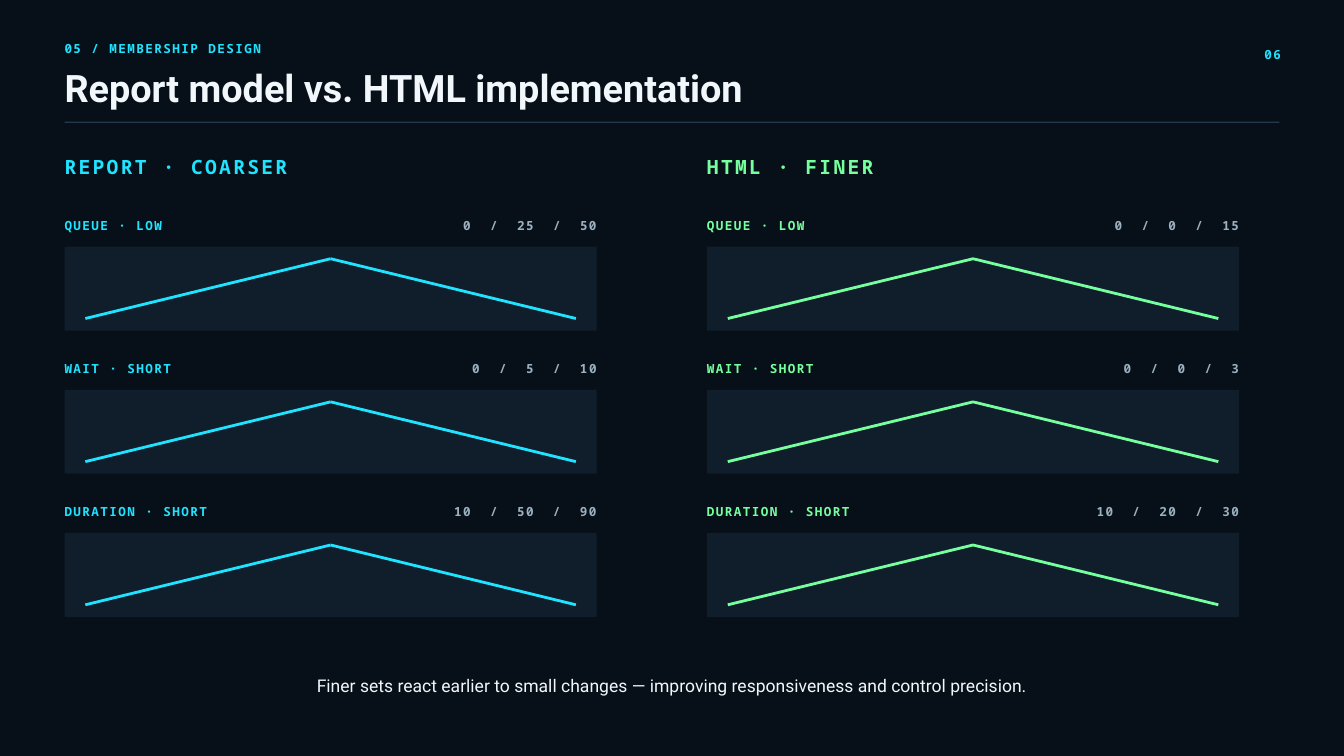
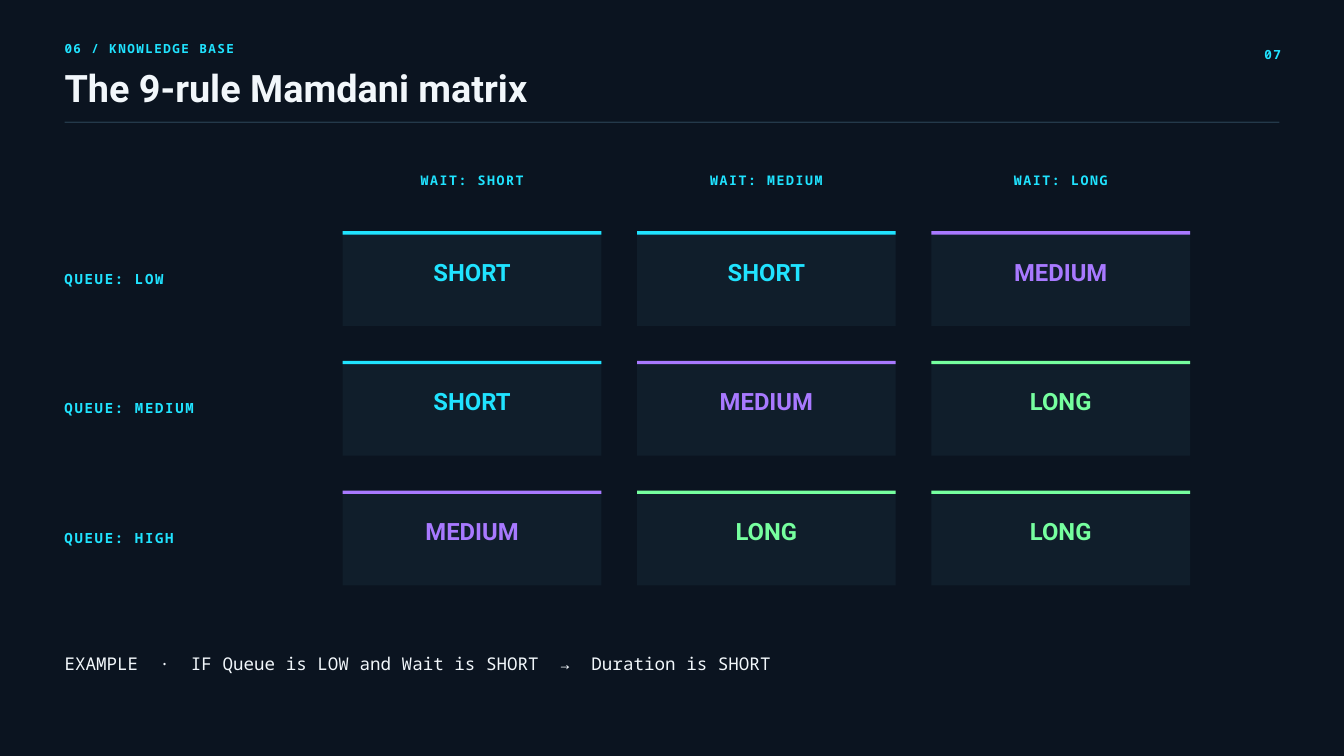
"""Build two slides on fuzzy membership design and the rule matrix."""
from lxml.etree import SubElement
from pptx import Presentation
from pptx.dml.color import RGBColor
from pptx.enum.shapes import MSO_CONNECTOR, MSO_SHAPE
from pptx.enum.text import MSO_AUTO_SIZE, PP_ALIGN
from pptx.oxml.ns import qn
from pptx.util import Inches, Pt

COLORS = {
    "deep": "071018", "navy": "0B1420", "panel": "101E2B", "rule": "24394A",
    "cyan": "20E3FF", "green": "76FF9F", "violet": "A879FF",
    "white": "F2F7FB", "muted": "9BB0C0",
}
MONO, SANS = "Noto Sans Mono", "Roboto"
LEFT = 0.96

MODELS = [
    ("REPORT · COARSER", "cyan", [
        ("QUEUE · LOW", (0, 25, 50)),
        ("WAIT · SHORT", (0, 5, 10)),
        ("DURATION · SHORT", (10, 50, 90)),
    ]),
    ("HTML · FINER", "green", [
        ("QUEUE · LOW", (0, 0, 15)),
        ("WAIT · SHORT", (0, 0, 3)),
        ("DURATION · SHORT", (10, 20, 30)),
    ]),
]
TAKEAWAY = "Finer sets react earlier to small changes — improving responsiveness and control precision."

WAITS = ["WAIT: SHORT", "WAIT: MEDIUM", "WAIT: LONG"]
RULES = [
    ("QUEUE: LOW", ["SHORT", "SHORT", "MEDIUM"]),
    ("QUEUE: MEDIUM", ["SHORT", "MEDIUM", "LONG"]),
    ("QUEUE: HIGH", ["MEDIUM", "LONG", "LONG"]),
]
DURATION_COLORS = {"SHORT": "cyan", "MEDIUM": "violet", "LONG": "green"}
EXAMPLE = "EXAMPLE  ·  IF Queue is LOW and Wait is SHORT  →  Duration is SHORT"


def rgb(color):
    return RGBColor.from_string(COLORS[color])


def add_text(slide, text, left, top, width, height, size=13.5, color="cyan", font=MONO,
             bold=True, spacing=0, align=PP_ALIGN.LEFT, leading=1.4):
    frame = slide.shapes.add_textbox(*map(Inches, (left, top, width, height))).text_frame
    frame.margin_left = frame.margin_right = frame.margin_top = frame.margin_bottom = 0
    frame.word_wrap = True
    frame.auto_size = MSO_AUTO_SIZE.SHAPE_TO_FIT_TEXT
    paragraph = frame.paragraphs[0]
    paragraph.alignment = align
    paragraph.line_spacing = Pt(round(size * leading, 1))
    run = paragraph.add_run()
    run.text = text
    run.font.size, run.font.name, run.font.bold = Pt(size), font, bold
    run.font.color.rgb = rgb(color)
    if spacing:
        run._r.get_or_add_rPr().set("spc", str(round(spacing * 100)))


def add_block(slide, left, top, width, height, color):
    block = slide.shapes.add_shape(MSO_SHAPE.RECTANGLE, *map(Inches, (left, top, width, height)))
    block.shadow.inherit = False
    block.fill.solid()
    block.fill.fore_color.rgb = rgb(color)
    block.line.fill.background()


def add_edge(slide, start, end, color):
    edge = slide.shapes.add_connector(MSO_CONNECTOR.STRAIGHT, *map(Inches, start + end))
    edge.line.color.rgb = rgb(color)
    edge.line.width = Pt(3)
    SubElement(edge._element.spPr, qn("a:effectLst"))


def add_slide(deck, background, section, title, number):
    slide = deck.slides.add_slide(deck.slide_layouts[6])
    slide.background.fill.solid()
    slide.background.fill.fore_color.rgb = rgb(background)
    add_text(slide, section, LEFT, 0.57, 9.38, 0.25, spacing=1.6)
    add_text(slide, title, LEFT, 1.07, 15.62, 0.6, size=40.5, color="white", font=SANS, leading=1.02)
    add_text(slide, number, 18.12, 0.66, 0.94, 0.25, spacing=1.6, align=PP_ALIGN.RIGHT)
    add_block(slide, LEFT, 1.81, 18.08, 0.02, "rule")
    return slide


def add_membership(slide, left, top, label, points, color):
    width, inset, label_top = 7.92, 0.31, top - 0.47
    values = "  /  ".join(map(str, points))
    add_block(slide, left, top, width, 1.25, "panel")
    peak = (left + width / 2, top + 0.18)
    base = top + 1.07
    add_edge(slide, (left + inset, base), peak, color)
    add_edge(slide, peak, (left + width - inset, base), color)
    add_text(slide, label, left, label_top, 3.12, 0.25, color=color, spacing=1.6)
    add_text(slide, values, left + 4.9, label_top, 3.02, 0.25, color="muted", spacing=1.6,
             align=PP_ALIGN.RIGHT)


def build_comparison(deck):
    slide = add_slide(deck, "deep", "05 / MEMBERSHIP DESIGN",
                      "Report model vs. HTML implementation", "06")
    for column, (heading, color, memberships) in enumerate(MODELS):
        left = LEFT + column * 9.56
        add_text(slide, heading, left, 2.24, 7.92, 0.4, size=21, color=color, spacing=2.5)
        for row, (label, points) in enumerate(memberships):
            add_membership(slide, left, 3.67 + row * 2.13, label, points, color)
    add_text(slide, TAKEAWAY, 3.65, 9.99, 12.71, 0.34, size=18.8, color="white", font=SANS,
             bold=False, align=PP_ALIGN.CENTER)


def build_matrix(deck):
    slide = add_slide(deck, "navy", "06 / KNOWLEDGE BASE", "The 9-rule Mamdani matrix", "07")
    width = 3.85
    lefts = [5.1 + column * 4.38 for column in range(len(WAITS))]
    for left, wait in zip(lefts, WAITS):
        add_text(slide, wait, left, 2.52, width, 0.26, size=14.2, spacing=1.7, align=PP_ALIGN.CENTER)
    for row, (queue, durations) in enumerate(RULES):
        top = 3.44 + row * 1.93
        add_text(slide, queue, LEFT, top + 0.54, 3.33, 0.28, size=15, spacing=1.8)
        for left, duration in zip(lefts, durations):
            color = DURATION_COLORS[duration]
            add_block(slide, left, top, width, 1.41, "panel")
            add_block(slide, left, top, width, 0.05, color)
            add_text(slide, duration, left, top + 0.32, width, 0.46, size=25.5, color=color,
                     font=SANS, align=PP_ALIGN.CENTER)
    add_text(slide, EXAMPLE, LEFT, 9.66, 15.62, 0.34, size=18.8, color="white", bold=False)


def main():
    deck = Presentation()
    deck.slide_width, deck.slide_height = Inches(20), Inches(11.25)
    build_comparison(deck)
    build_matrix(deck)
    deck.save("out.pptx")


if __name__ == "__main__":
    main()
